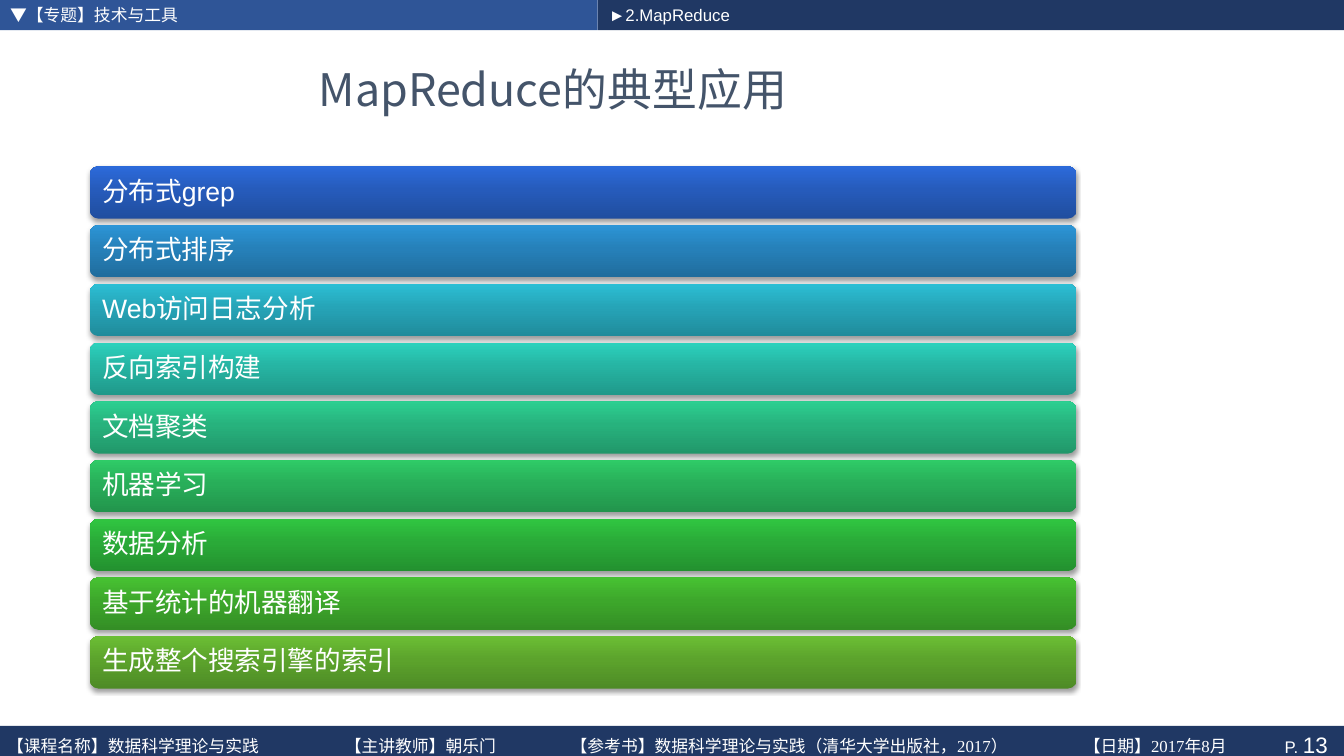
from dataclasses import dataclass

from lxml.etree import SubElement
from pptx import Presentation
from pptx.dml.color import RGBColor
from pptx.enum.shapes import MSO_SHAPE
from pptx.enum.text import MSO_ANCHOR, MSO_AUTO_SIZE, PP_ALIGN
from pptx.oxml.ns import qn
from pptx.util import Emu, Inches, Pt

W, H = Inches(13.33), Inches(7.5)
WHITE, NAVY, BLUE, SLATE = "FFFFFF", "203864", "2F5597", "44546A"
SANS, CJK, SERIF = "Arial", "Noto Sans CJK SC", "Times New Roman"
BAR_TOP, BAR_PITCH = 22, 7.77
FOOTER_TABS = (3.35, 5.59, 10.68)


@dataclass(frozen=True)
class Box:
    x: float
    y: float
    w: float
    h: float

    def emu(self) -> tuple:
        return (Emu(int(W * self.x / 100)), Emu(int(H * self.y / 100)),
                Emu(int(W * self.w / 100)), Emu(int(H * self.h / 100)))


@dataclass(frozen=True)
class Band:
    box: Box
    color: str


@dataclass(frozen=True)
class Bar:
    text: str
    dark: str
    mid: str
    light: str


BANDS = [
    Band(Box(0, 0, 44.48, 4), BLUE),
    Band(Box(44.48, 0, 55.52, 4), NAVY),
    Band(Box(0, 96, 100, 4.93), NAVY),
]
BARS = [
    Bar("分布式grep", "204E9F", "265BBB", "2C6ADA"),
    Bar("分布式排序", "206D9D", "2680B9", "2C95D7"),
    Bar("Web访问日志分析", "208B9B", "26A4B7", "2CBFD5"),
    Bar("反向索引构建", "20998A", "26B4A3", "2CD2BD"),
    Bar("文档聚类", "21976A", "27B27D", "2DCF91"),
    Bar("机器学习", "22944C", "28AE59", "2FCB67"),
    Bar("数据分析", "23912F", "2AAA38", "30C641"),
    Bar("基于统计的机器翻译", "348E25", "3DA72B", "47C232"),
    Bar("生成整个搜索引擎的索引", "4E8B26", "5CA32C", "6BBE34"),
]
FOOTER = ("【课程名称】数据科学理论与实践", "【主讲教师】朝乐门",
          "【参考书】数据科学理论与实践（清华大学出版社，2017）", "【日期】2017年8月")


def rgb(color: str) -> RGBColor:
    return RGBColor.from_string(color)


def add_run(p, text: str, size: float = 12, font: str = SANS, color: str = WHITE):
    r = p.add_run()
    r.text = text
    r.font.size = Pt(size)
    r.font.name = font
    r.font.bold = False
    r.font.color.rgb = rgb(color)
    SubElement(r.font._element, qn("a:ea"), typeface=CJK)


def write(sp, text: str, align=PP_ALIGN.LEFT, anchor=MSO_ANCHOR.TOP,
          left: float = 0.1, right: float = 0.1, **fmt):
    tf = sp.text_frame
    tf.word_wrap = True
    tf.auto_size = MSO_AUTO_SIZE.NONE
    tf.vertical_anchor = anchor
    tf.margin_left, tf.margin_right = Inches(left), Inches(right)
    p = tf.paragraphs[0]
    p.alignment = align
    p.space_before = Pt(0)
    add_run(p, text, **fmt)
    return p


def add_box(s, kind, box: Box):
    sp = s.shapes.add_shape(kind, *box.emu())
    sp.shadow.inherit = False
    sp.line.fill.background()
    return sp


def add_band(s, band: Band):
    sp = add_box(s, MSO_SHAPE.RECTANGLE, band.box)
    sp.fill.solid()
    sp.fill.fore_color.rgb = rgb(band.color)
    return sp


def add_bar(s, bar: Bar, row: int):
    box = Box(6.68, BAR_TOP + row * BAR_PITCH, 73.43, 6.93)
    sp = add_box(s, MSO_SHAPE.ROUNDED_RECTANGLE, box)
    sp.fill.gradient()
    sp.fill.gradient_angle = 90
    spPr = sp.element.spPr
    stops = spPr.find(qn("a:gradFill")).find(qn("a:gsLst"))
    for gs in list(stops):
        stops.remove(gs)
    for pos, color in ((0, bar.dark), (55, bar.mid), (100, bar.light)):
        gs = SubElement(stops, qn("a:gs"), pos=str(pos * 1000))
        SubElement(gs, qn("a:srgbClr"), val=color)
    shadow = SubElement(spPr.find(qn("a:effectLst")), qn("a:outerShdw"),
                        blurRad=str(Pt(3.1)), dist=str(Pt(2)), dir="5400000", rotWithShape="0")
    black = SubElement(shadow, qn("a:srgbClr"), val="000000")
    SubElement(black, qn("a:alpha"), val="38000")
    p = write(sp, bar.text, anchor=MSO_ANCHOR.MIDDLE, size=19)
    p.line_spacing = 0.9


def fill_placeholder(s, idx: int, box: Box, text: str, **fmt):
    sp = s.placeholders[idx]
    sp.left, sp.top, sp.width, sp.height = box.emu()
    s.shapes.element.append(sp.element)
    p = write(sp, text, **fmt)
    pPr = p._p.get_or_add_pPr()
    pPr.set("marL", "0")
    pPr.set("indent", "0")
    SubElement(pPr, qn("a:buNone"))


def add_footer(s):
    sp = s.shapes.add_textbox(*Box(0, 96.67, 98, 3.73).emu())
    p = write(sp, "\t".join(FOOTER), left=0.07, right=0, font=SERIF)
    tabs = SubElement(p._p.get_or_add_pPr(), qn("a:tabLst"))
    for pos in FOOTER_TABS:
        SubElement(tabs, qn("a:tab"), pos=str(Inches(pos)), algn="l")


def main():
    prs = Presentation()
    prs.slide_width, prs.slide_height = W, H
    s = prs.slides.add_slide(prs.slide_layouts[3])
    bands = [add_band(s, band) for band in BANDS]
    p = write(bands[-1], "P. ", align=PP_ALIGN.RIGHT, anchor=MSO_ANCHOR.MIDDLE, right=0.16)
    add_run(p, "13", size=16)
    add_footer(s)
    fill_placeholder(s, 0, Box(3.3, 5.73, 75.68, 12), "MapReduce的典型应用",
                     align=PP_ALIGN.CENTER, anchor=MSO_ANCHOR.MIDDLE,
                     size=32, font=CJK, color=SLATE)
    fill_placeholder(s, 1, Box(0, 0, 36.23, 3.87), "▼【专题】技术与工具")
    fill_placeholder(s, 2, Box(44.55, 0, 17.85, 3.87), "►2.MapReduce")
    for row, bar in enumerate(BARS):
        add_bar(s, bar, row)
    prs.save("out.pptx")


if __name__ == "__main__":
    main()
